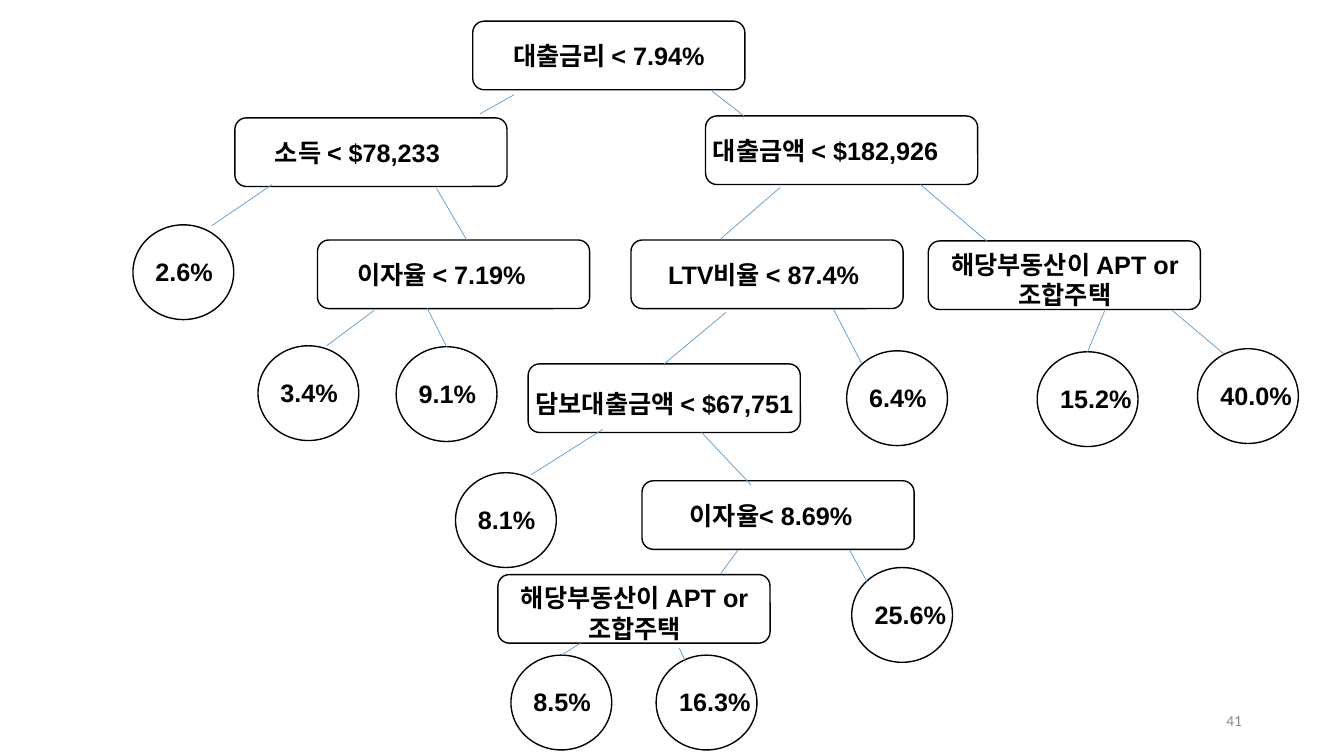
from dataclasses import dataclass

from lxml.etree import SubElement
from pptx import Presentation
from pptx.dml.color import RGBColor
from pptx.enum.shapes import MSO_CONNECTOR, MSO_SHAPE
from pptx.enum.text import MSO_ANCHOR, MSO_AUTO_SIZE, PP_ALIGN
from pptx.oxml.ns import qn
from pptx.slide import Slide
from pptx.util import Pt

COLORS = {"ink": "000000", "branch": "5B9BD5", "number": "8C8C8C"}
SPLIT_SIZE = (194.4, 49)
LEAF_SIZE = (72, 67.7)
LEAF_LABEL_SHIFT = (8.4, 18.9)
LINE_HEIGHT = 28.8
TWO_LINE_HEIGHT = 51.1


@dataclass(frozen=True)
class Split:
    text: str
    left: float
    top: float
    label_shift: float
    label_width: float
    label_drop: float = 10.4


@dataclass(frozen=True)
class Leaf:
    text: str
    left: float
    top: float


@dataclass(frozen=True)
class Branch:
    start_x: float
    start_y: float
    end_x: float
    end_y: float


SPLITS = [
    Split("대출금리 < 7.94%", 337.7, 15.1, 14.4, 165.6),
    Split("소득 < $78,233", 167.8, 84.2, 15.1, 144.7),
    Split("대출금액 < $182,926", 504, 82.8, -10.1, 191.5),
    Split("이자율 < 7.19%", 226.8, 171.4, 15.1, 146.9),
    Split("LTV비율 < 87.4%", 450.7, 171.4, 14.4, 160.6),
    Split("해당부동산이 APT or\n조합주택", 663.1, 172.1, 2.9, 189.4, 2.2),
    Split("담보대출금액 < $67,751", 377.3, 259.9, -11.5, 217.4, 13.7),
    Split("이자율< 8.69%", 458.6, 343.4, 21.6, 141.1),
    Split("해당부동산이 APT or\n조합주택", 355.7, 410.4, 2.9, 189.4, 2.2),
]

LEAVES = [
    Leaf("2.6%", 95, 160.6),
    Leaf("3.4%", 184.3, 247),
    Leaf("9.1%", 283, 247.7),
    Leaf("6.4%", 604.8, 250.6),
    Leaf("15.2%", 740.9, 251.3),
    Leaf("40.0%", 855.4, 249.1),
    Leaf("8.1%", 325.4, 337.7),
    Leaf("25.6%", 608.4, 405.4),
    Leaf("8.5%", 365, 468),
    Leaf("16.3%", 468.7, 468),
]

BRANCHES = [
    Branch(367.2, 67.7, 342.7, 81.4),
    Branch(508.3, 64.8, 531.4, 82.8),
    Branch(194.4, 131.8, 151.2, 161.3),
    Branch(311.8, 134.6, 333.4, 171.4),
    Branch(557.3, 133.9, 514.8, 170.6),
    Branch(657.4, 131.8, 705.6, 172.8),
    Branch(267.1, 221.8, 233.3, 247),
    Branch(305.3, 220.3, 319, 247.7),
    Branch(518.4, 223.2, 474.5, 259.9),
    Branch(595.4, 221, 615.6, 259.9),
    Branch(789.1, 221.8, 776.9, 251.3),
    Branch(837.4, 221.8, 874.1, 252.7),
    Branch(430.6, 306.7, 379.4, 339.1),
    Branch(501.1, 308.9, 536.4, 346.3),
    Branch(527, 393.1, 514.8, 409.7),
    Branch(607, 393.1, 619.2, 415.4),
    Branch(414.7, 459.4, 401, 468),
    Branch(485.3, 463, 489.6, 472.3),
]


def color(name: str) -> RGBColor:
    return RGBColor.from_string(COLORS[name])


def draw_outline(page: Slide, kind: MSO_SHAPE, left: float, top: float,
                 size: tuple[float, float]) -> None:
    width, height = size
    shape = page.shapes.add_shape(kind, Pt(left), Pt(top), Pt(width), Pt(height))
    shape.shadow.inherit = False
    shape.fill.background()
    shape.line.color.rgb = color("ink")
    shape.line.width = Pt(1)


def draw_label(page: Slide, text: str, left: float, top: float, width: float) -> None:
    height = TWO_LINE_HEIGHT if "\n" in text else LINE_HEIGHT
    box = page.shapes.add_textbox(Pt(left), Pt(top), Pt(width), Pt(height))
    frame = box.text_frame
    frame.word_wrap = False
    frame.auto_size = MSO_AUTO_SIZE.SHAPE_TO_FIT_TEXT
    para = frame.paragraphs[0]
    para.text = text
    para.alignment = PP_ALIGN.CENTER
    para.font.name = "Arial"
    para.font.size = Pt(18)
    para.font.bold = True
    para.font.color.rgb = color("ink")


def draw_split(page: Slide, split: Split) -> None:
    draw_outline(page, MSO_SHAPE.ROUNDED_RECTANGLE, split.left, split.top, SPLIT_SIZE)
    draw_label(page, split.text, split.left + split.label_shift,
               split.top + split.label_drop, split.label_width)


def draw_leaf(page: Slide, leaf: Leaf) -> None:
    draw_outline(page, MSO_SHAPE.OVAL, leaf.left, leaf.top, LEAF_SIZE)
    shift_x, shift_y = LEAF_LABEL_SHIFT
    width = 67 if len(leaf.text) > 4 else 56.2
    draw_label(page, leaf.text, leaf.left + shift_x, leaf.top + shift_y, width)


def draw_branch(page: Slide, branch: Branch) -> None:
    line = page.shapes.add_connector(
        MSO_CONNECTOR.STRAIGHT, Pt(branch.start_x), Pt(branch.start_y),
        Pt(branch.end_x), Pt(branch.end_y))
    line.line.color.rgb = color("branch")
    line.line.width = Pt(0.5)
    SubElement(line._element.spPr, qn("a:effectLst"))


def draw_page_number(page: Slide, number: str) -> None:
    box = page.shapes.add_textbox(Pt(678.2), Pt(500.4), Pt(216), Pt(28.8))
    frame = box.text_frame
    frame.word_wrap = True
    frame.vertical_anchor = MSO_ANCHOR.MIDDLE
    para = frame.paragraphs[0]
    para.text = number
    para.alignment = PP_ALIGN.RIGHT
    para.font.name = "Calibri"
    para.font.size = Pt(11)
    para.font.color.rgb = color("number")


def main() -> None:
    deck = Presentation()
    deck.slide_width = Pt(960)
    deck.slide_height = Pt(540)
    page = deck.slides.add_slide(deck.slide_layouts.get_by_name("Blank"))
    for split in SPLITS:
        draw_split(page, split)
    for leaf in LEAVES:
        draw_leaf(page, leaf)
    for branch in BRANCHES:
        draw_branch(page, branch)
    draw_page_number(page, "41")
    deck.save("out.pptx")


if __name__ == "__main__":
    main()
